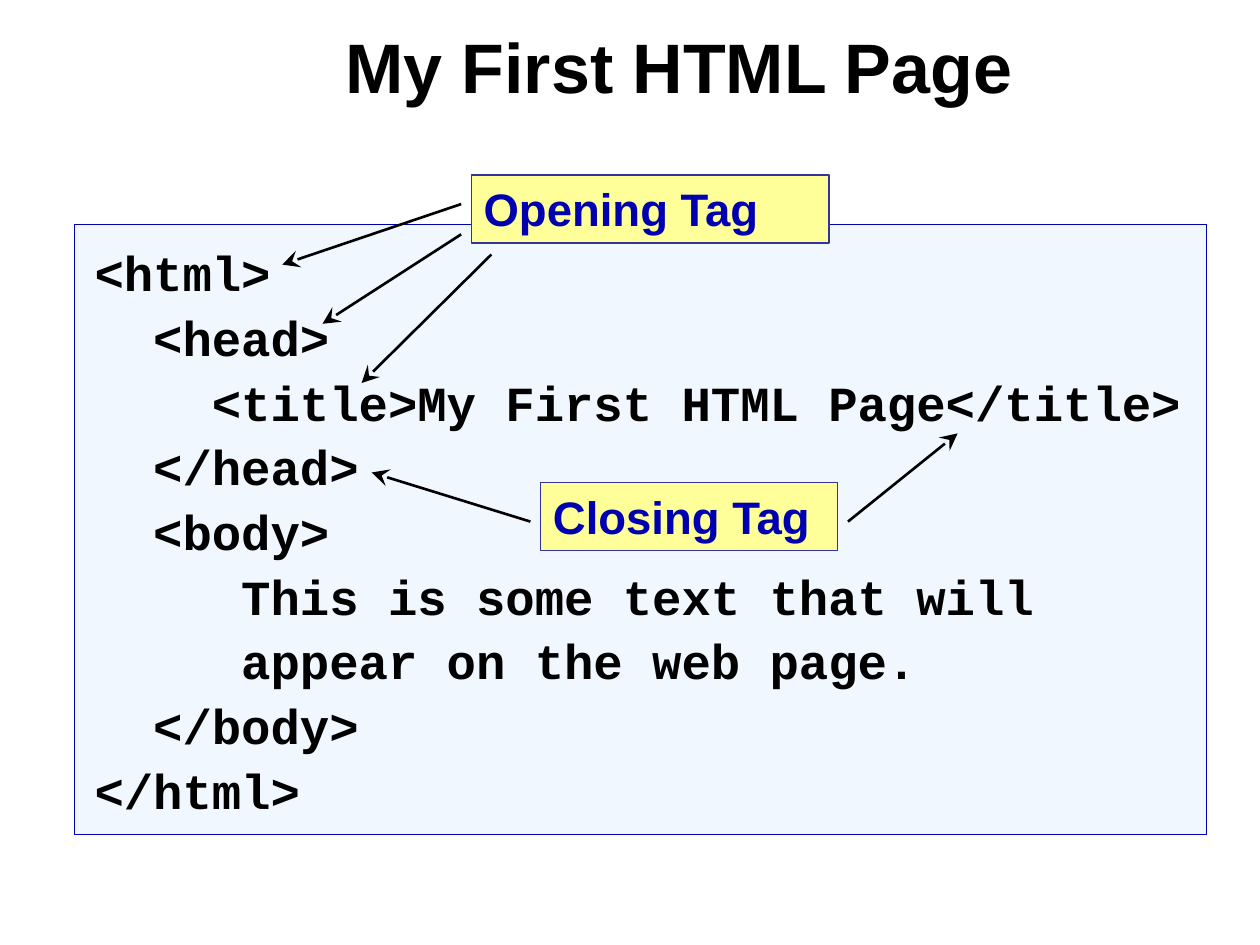
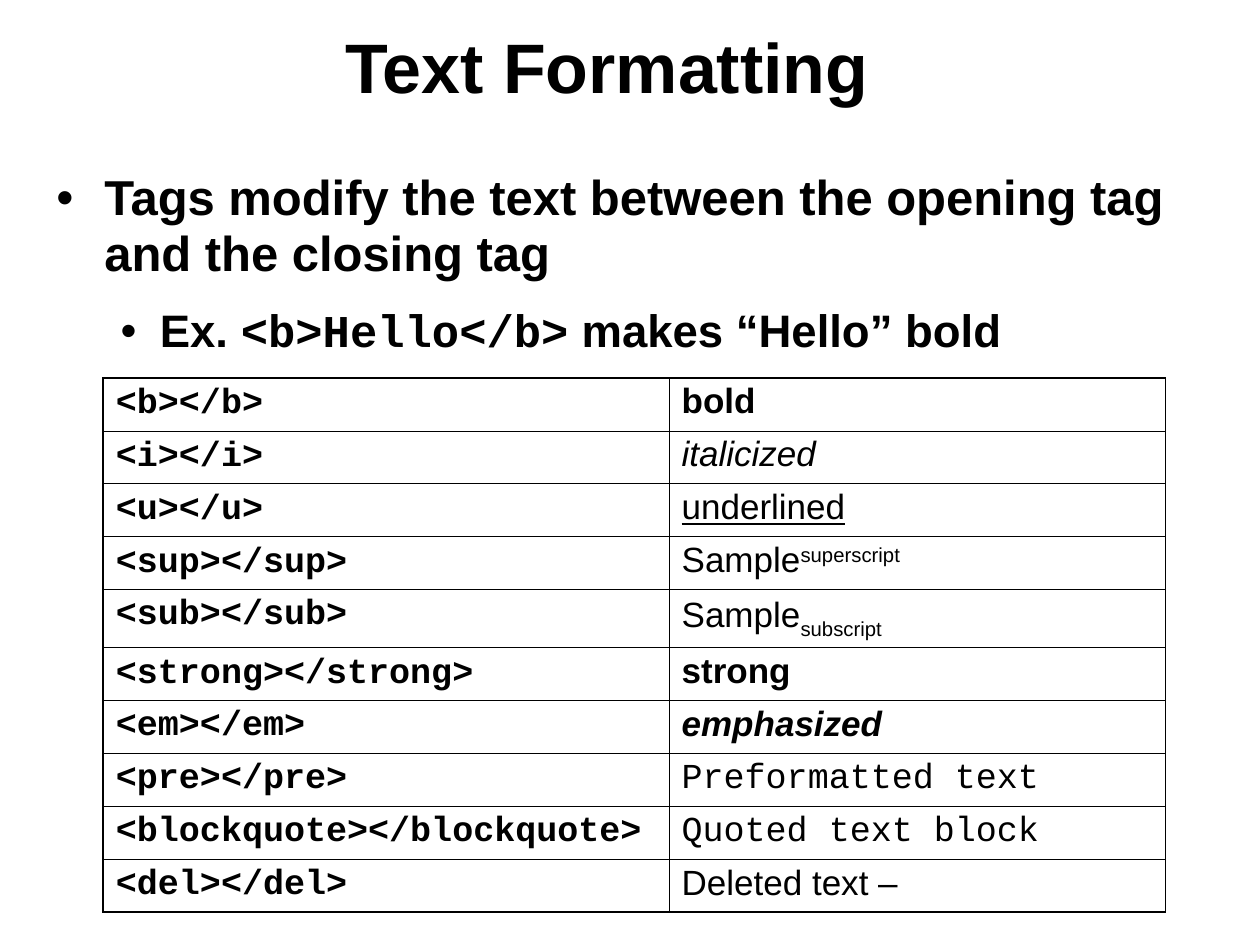
from dataclasses import dataclass

from lxml import etree
from pptx import Presentation
from pptx import util as u
from pptx.dml.color import RGBColor
from pptx.enum import shapes, text
from pptx.oxml import ns

BLACK = RGBColor(0x00, 0x00, 0x00)
BLUE = RGBColor(0x00, 0x00, 0xB0)
INDIGO = RGBColor(0x33, 0x33, 0x99)
PALE_BLUE = RGBColor(0xDD, 0xEC, 0xFF)
YELLOW = RGBColor(0xFF, 0xFF, 0x99)
SANS, MONO = "Arial", "Courier New"
THICK, THIN = 1.08, 0.45


@dataclass(frozen=True)
class Run:
    words: str
    face: str = SANS
    bold: bool = False
    italic: bool = False
    underline: bool = False
    baseline: int = 0


@dataclass(frozen=True)
class Box:
    left: float
    top: float
    width: float
    height: float

    def lengths(self) -> tuple:
        return tuple(u.Inches(n) for n in (self.left, self.top, self.width, self.height))


@dataclass(frozen=True)
class Label:
    words: str
    box: Box


@dataclass(frozen=True)
class Arrow:
    start: tuple[float, float]
    end: tuple[float, float]


@dataclass(frozen=True)
class Bullet:
    runs: tuple[Run, ...]
    size: int
    margin: float
    hang: float
    before: int = 0


@dataclass(frozen=True)
class TagRow:
    tag: str
    sample: tuple[Run, ...]
    height: float = 0.42


CODE = """<html>
  <head>
    <title>My First HTML Page</title>
  </head>
  <body>
     This is some text that will
     appear on the web page.
  </body>
</html>"""
LABELS = [
    Label("Opening Tag", Box(3.74, 1.39, 2.84, 0.54)),
    Label("Closing Tag", Box(4.29, 3.83, 2.36, 0.54)),
]
ARROWS = [
    Arrow((3.66, 1.62), (2.24, 2.1)),
    Arrow((3.66, 1.86), (2.56, 2.57)),
    Arrow((3.9, 2.02), (2.87, 3.04)),
    Arrow((4.21, 4.14), (2.95, 3.75)),
    Arrow((6.73, 4.14), (7.6, 3.44)),
]
BULLETS = [
    Bullet((Run("Tags modify the text between the opening tag and the closing tag", bold=True),),
           28, 0.38, 0.38),
    Bullet((Run("Ex. ", bold=True), Run("<b>Hello</b>", MONO, bold=True),
            Run(" makes “Hello” bold", bold=True)), 26, 0.82, 0.31, 13),
]
TAG_ROWS = [
    TagRow("b", (Run("bold", bold=True),)),
    TagRow("i", (Run("italicized", italic=True),)),
    TagRow("u", (Run("underlined", underline=True),)),
    TagRow("sup", (Run("Sample"), Run("superscript", baseline=30))),
    TagRow("sub", (Run("Sample"), Run("subscript", baseline=-25)), 0.46),
    TagRow("strong", (Run("strong", bold=True),)),
    TagRow("em", (Run("emphasized", bold=True, italic=True),)),
    TagRow("pre", (Run("Preformatted text", MONO),)),
    TagRow("blockquote", (Run("Quoted text block", MONO),)),
    TagRow("del", (Run("Deleted text –"),)),
]
TAG_COLUMNS = (4.49, 3.94)
TABLE_BOX = Box(0.82, 3, sum(TAG_COLUMNS), sum(row.height for row in TAG_ROWS))


def add_runs(p, runs: tuple[Run, ...], size: float, color: RGBColor = BLACK,
             spacing: float = 1.0) -> None:
    p.alignment = text.PP_ALIGN.LEFT
    p.line_spacing = spacing
    for run in runs:
        r = p.add_run()
        r.text = run.words
        r.font.name, r.font.size = run.face, u.Pt(size)
        r.font.bold, r.font.italic = run.bold, run.italic
        r.font.underline = run.underline
        r.font.color.rgb = color
        if run.baseline:
            r._r.get_or_add_rPr().set("baseline", str(run.baseline * 1000))


def add_titled_slide(prs, title: str):
    s = prs.slides.add_slide(prs.slide_layouts[5])
    sp = s.shapes.title
    sp.left, sp.top, sp.width, sp.height = Box(2.64, 0.08, 7.17, 0.99).lengths()
    tf = sp.text_frame
    tf.auto_size = text.MSO_AUTO_SIZE.NONE
    tf.vertical_anchor = text.MSO_ANCHOR.MIDDLE
    add_runs(tf.paragraphs[0], (Run(title, bold=True),), 40, spacing=0.85)
    return s


def add_panel(s, box: Box, fill: RGBColor, line: RGBColor, weight: float):
    sp = s.shapes.add_shape(shapes.MSO_SHAPE.RECTANGLE, *box.lengths())
    sp.shadow.inherit = False
    sp.fill.solid()
    sp.fill.fore_color.rgb = fill
    sp.line.color.rgb = line
    sp.line.width = u.Pt(weight)
    sp.text_frame.word_wrap = True
    sp.text_frame.vertical_anchor = text.MSO_ANCHOR.TOP
    return sp


def add_code(s, box: Box) -> None:
    sp = add_panel(s, box, PALE_BLUE, BLUE, 0.25)
    color = sp._element.spPr.find(ns.qn("a:solidFill"))[0]
    etree.SubElement(color, ns.qn("a:alpha"), val="40000")
    tf = sp.text_frame
    tf.margin_left = tf.margin_right = u.Inches(0.16)
    tf.margin_top, tf.margin_bottom = u.Inches(0.1), u.Inches(0.12)
    for i, line in enumerate(CODE.splitlines()):
        p = tf.add_paragraph() if i else tf.paragraphs[0]
        add_runs(p, (Run(line, MONO, bold=True),), 28, spacing=1.1)


def add_label(s, label: Label) -> None:
    sp = add_panel(s, label.box, YELLOW, INDIGO, 0.75)
    add_runs(sp.text_frame.paragraphs[0], (Run(label.words, bold=True),), 26, BLUE)


def add_arrow(s, arrow: Arrow) -> None:
    ends = [u.Inches(n) for n in arrow.start + arrow.end]
    cx = s.shapes.add_connector(shapes.MSO_CONNECTOR.STRAIGHT, *ends)
    cx.line.color.rgb = BLACK
    cx.line.width = u.Pt(1.5)
    etree.SubElement(cx.line._get_or_add_ln(), ns.qn("a:tailEnd"),
                     type="stealth", w="lg", len="lg")
    etree.SubElement(cx._element.spPr, ns.qn("a:effectLst"))


def add_bullets(s, box: Box) -> None:
    tf = s.shapes.add_textbox(*box.lengths()).text_frame
    tf.word_wrap = True
    for i, bullet in enumerate(BULLETS):
        p = tf.add_paragraph() if i else tf.paragraphs[0]
        add_runs(p, bullet.runs, bullet.size, spacing=0.95)
        p.space_before = u.Pt(bullet.before)
        pPr = p._p.get_or_add_pPr()
        pPr.set("marL", str(u.Inches(bullet.margin)))
        pPr.set("indent", str(-u.Inches(bullet.hang)))
        etree.SubElement(pPr, ns.qn("a:buFont"), typeface=SANS)
        etree.SubElement(pPr, ns.qn("a:buChar"), char="•")


def set_borders(cell, widths: dict[str, float]) -> None:
    tcPr = cell._tc.get_or_add_tcPr()
    for side, width in widths.items():
        ln = etree.SubElement(tcPr, ns.qn(f"a:ln{side}"), w=str(u.Pt(width)))
        fill = etree.SubElement(ln, ns.qn("a:solidFill"))
        etree.SubElement(fill, ns.qn("a:srgbClr"), val=str(BLACK))


def add_tag_table(s) -> None:
    last_row, last_col = len(TAG_ROWS) - 1, len(TAG_COLUMNS) - 1
    table = s.shapes.add_table(last_row + 1, last_col + 1, *TABLE_BOX.lengths()).table
    table.first_row = table.horz_banding = False
    for column, width in zip(table.columns, TAG_COLUMNS):
        column.width = u.Inches(width)
    for i, row in enumerate(TAG_ROWS):
        table.rows[i].height = u.Inches(row.height)
        tag = Run(f"<{row.tag}></{row.tag}>", MONO, bold=True)
        for j, runs in enumerate(((tag,), row.sample)):
            cell = table.cell(i, j)
            outer = {"L": j == 0, "R": j == last_col, "T": i == 0, "B": i == last_row}
            set_borders(cell, {side: THICK if edge else THIN for side, edge in outer.items()})
            cell.fill.background()
            add_runs(cell.text_frame.paragraphs[0], runs, 20, spacing=0.95)


def build_first_page(prs) -> None:
    s = add_titled_slide(prs, "My First HTML Page")
    add_code(s, Box(0.59, 1.78, 8.98, 4.84))
    for label in LABELS:
        add_label(s, label)
    for arrow in ARROWS:
        add_arrow(s, arrow)


def build_text_formatting(prs) -> None:
    s = add_titled_slide(prs, "Text Formatting")
    add_bullets(s, Box(0.35, 1.31, 9.37, 5.83))
    add_tag_table(s)


def main() -> None:
    prs = Presentation()
    prs.slide_width, prs.slide_height = u.Inches(10), u.Inches(7.5)
    build_first_page(prs)
    build_text_formatting(prs)
    prs.save("out.pptx")


if __name__ == "__main__":
    main()
